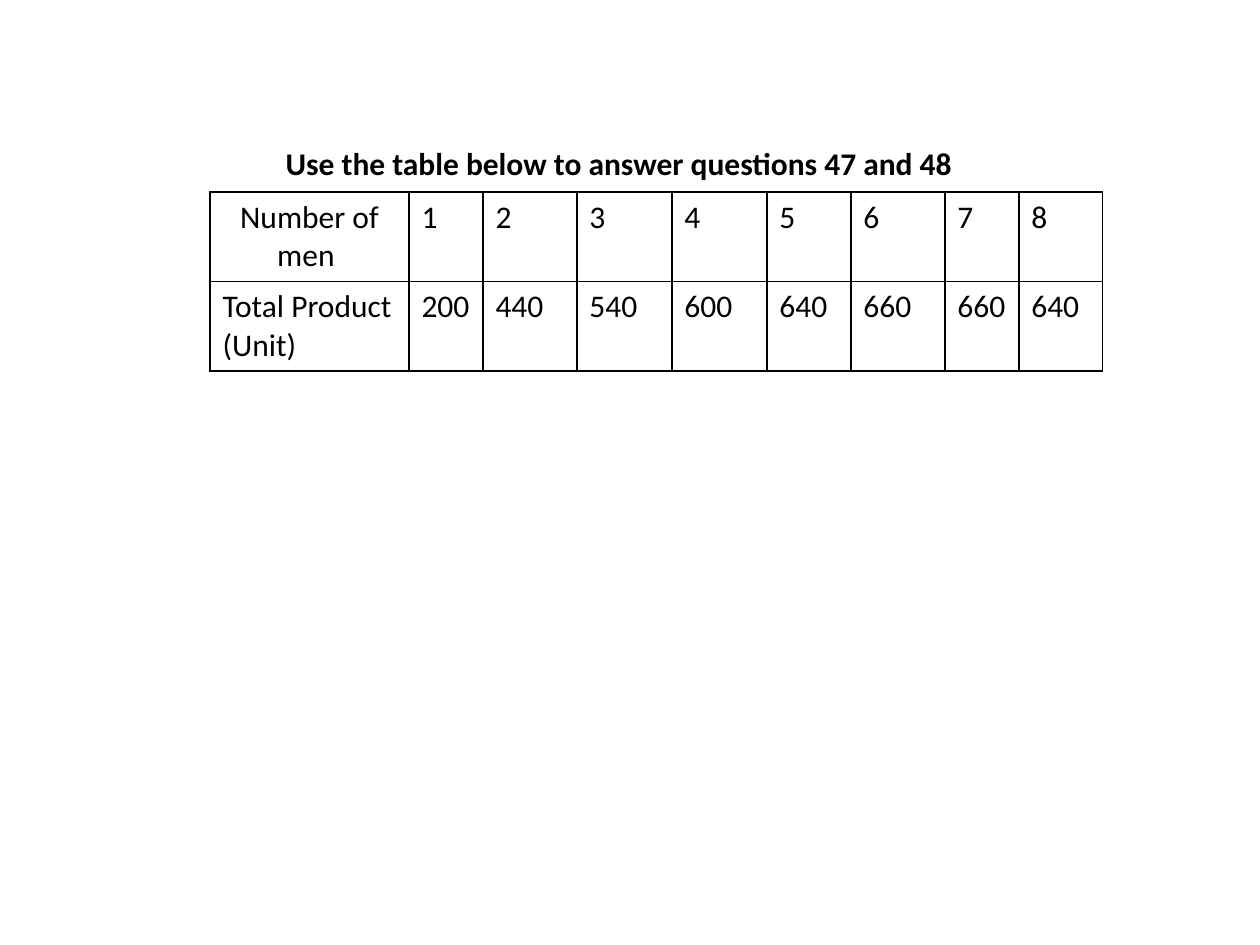
from dataclasses import dataclass

from lxml import etree
from pptx import Presentation, util as u
from pptx.dml import color
from pptx.enum import text
from pptx.oxml import ns

EMU_PER_PX = 914400 // 126


@dataclass(frozen=True)
class Theme:
    font: str = "Calibri"
    size: int = 18
    ink: str = "000000"
    border: float = 1


@dataclass(frozen=True)
class Column:
    width: int
    men: str
    product: str


THEME = Theme()
COLUMNS = [
    Column(199, "Number of men ", "Total Product (Unit)"),
    Column(74, "1", "200"),
    Column(94, "2", "440"),
    Column(95, "3", "540"),
    Column(95, "4", "600"),
    Column(84, "5", "640"),
    Column(94, "6", "660"),
    Column(74, "7", "660"),
    Column(84, "8", "640"),
]
ROW_HEIGHT = 88


def px(length: int) -> int:
    return u.Emu(length * EMU_PER_PX)


def write(frame, content: str, align, bold: bool = False) -> None:
    frame.text = content
    paragraph = frame.paragraphs[0]
    paragraph.alignment = align
    font = paragraph.runs[0].font
    font.name = THEME.font
    font.size = u.Pt(THEME.size)
    font.bold = bold
    font.color.rgb = color.RGBColor.from_string(THEME.ink)


def outline(cell) -> None:
    properties = cell._tc.get_or_add_tcPr()
    for side in ("lnL", "lnR", "lnT", "lnB"):
        line = etree.SubElement(properties, ns.qn(f"a:{side}"), w=str(u.Pt(THEME.border)))
        fill = etree.SubElement(line, ns.qn("a:solidFill"))
        etree.SubElement(fill, ns.qn("a:srgbClr"), val=THEME.ink)


def add_heading(slide, content: str) -> None:
    title = slide.shapes.title
    title.left, title.top, title.width, title.height = px(273), px(138), px(703), px(50)
    frame = title.text_frame
    frame.word_wrap = True
    frame.auto_size = text.MSO_AUTO_SIZE.NONE
    frame.vertical_anchor = text.MSO_ANCHOR.TOP
    write(frame, content, text.PP_ALIGN.LEFT, bold=True)


def add_product_table(slide, columns: list[Column]) -> None:
    width = sum(column.width for column in columns)
    table = slide.shapes.add_table(
        2, len(columns), px(210), px(192), px(width), px(2 * ROW_HEIGHT)
    ).table
    table.first_row = table.horz_banding = False
    for column_index, column in enumerate(columns):
        table.columns[column_index].width = px(column.width)
        for row_index, content in enumerate((column.men, column.product)):
            cell = table.cell(row_index, column_index)
            centred = row_index == column_index == 0
            write(cell.text_frame, content,
                  text.PP_ALIGN.CENTER if centred else text.PP_ALIGN.LEFT)
            outline(cell)
            cell.fill.background()


def main() -> None:
    presentation = Presentation()
    presentation.slide_width, presentation.slide_height = u.Inches(10), u.Inches(7.5)
    slide = presentation.slides.add_slide(presentation.slide_layouts[5])
    add_heading(slide, "Use the table below to answer questions 47 and 48")
    add_product_table(slide, COLUMNS)
    presentation.save("out.pptx")


if __name__ == "__main__":
    main()
